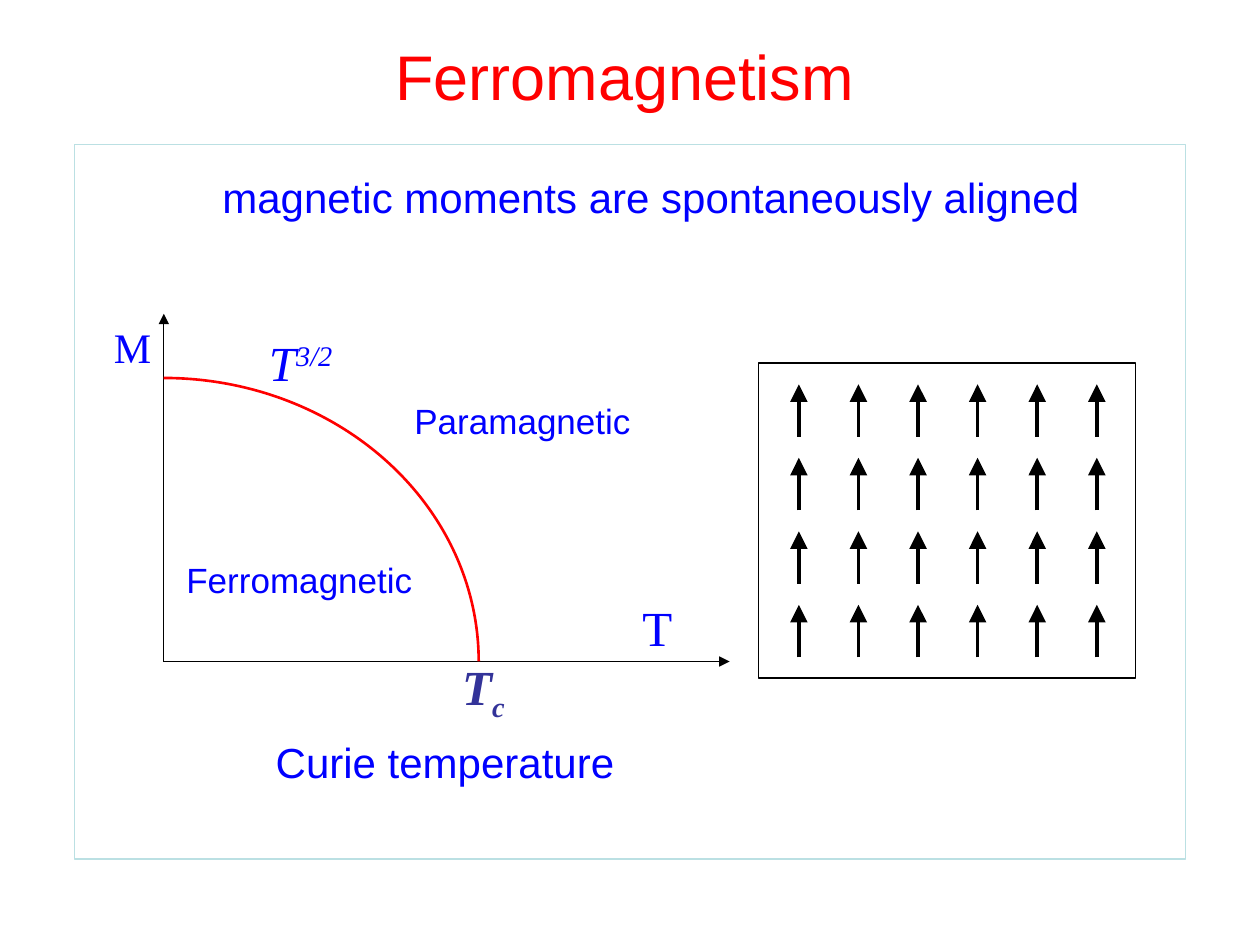
from dataclasses import dataclass

from lxml import etree
from pptx import Presentation
from pptx.dml.color import RGBColor
from pptx.enum.shapes import MSO_CONNECTOR, MSO_SHAPE
from pptx.enum.text import MSO_ANCHOR, MSO_AUTO_SIZE, PP_ALIGN
from pptx.oxml.ns import qn
from pptx.util import Pt

STRAIGHT = MSO_CONNECTOR.STRAIGHT
RECTANGLE = MSO_SHAPE.RECTANGLE
ARC = MSO_SHAPE.ARC
TOP = MSO_ANCHOR.TOP
GROW = MSO_AUTO_SIZE.SHAPE_TO_FIT_TEXT
LEFT = PP_ALIGN.LEFT
CENTER = PP_ALIGN.CENTER
TITLE_ONLY = 5


@dataclass(frozen=True)
class Theme:
    red: str = "FF0000"
    blue: str = "0000FF"
    indigo: str = "333399"
    black: str = "000000"
    frame: str = "BBE0E3"
    sans: str = "Arial"
    serif: str = "Times New Roman"
    title: int = 36
    symbol: int = 28
    text: int = 24
    label: int = 20
    thin: float = 0.75
    curve: float = 1.5
    moment: float = 2


THEME = Theme()


def write_text(box, text, *, size, color=THEME.blue, font=THEME.sans, align=LEFT,
               bold=False, italic=False, script="", baseline=0):
    frame = box.text_frame
    frame.word_wrap = True
    frame.auto_size = GROW
    frame.vertical_anchor = TOP
    frame.margin_left = frame.margin_right = Pt(7.2)
    frame.margin_top = frame.margin_bottom = Pt(3.6)
    para = frame.paragraphs[0]
    para.alignment = align
    for content, shift in ((text, 0), (script, baseline)):
        if not content:
            continue
        span = para.add_run()
        span.text = content
        span.font.size = Pt(size)
        span.font.name = font
        span.font.bold = bold
        span.font.italic = italic
        span.font.color.rgb = RGBColor.from_string(color)
        if shift:
            span.font._element.set("baseline", str(shift * 1000))


def add_title(page, text):
    box = page.shapes.title
    box.left, box.top, box.width, box.height = Pt(48), Pt(18), Pt(618), Pt(50.4)
    write_text(box, text, size=THEME.title, color=THEME.red, align=CENTER)


def add_label(page, text, left, top, width, height, **style):
    box = page.shapes.add_textbox(Pt(left), Pt(top), Pt(width), Pt(height))
    write_text(box, text, **style)


def add_outline(shapes, kind, left, top, width, height, color, weight):
    shape = shapes.add_shape(kind, Pt(left), Pt(top), Pt(width), Pt(height))
    shape.shadow.inherit = False
    shape.fill.background()
    shape.line.color.rgb = RGBColor.from_string(color)
    shape.line.width = Pt(weight)


def add_arrow(shapes, start, end, weight, head="med"):
    arrow = shapes.add_connector(STRAIGHT, *(Pt(value) for value in start + end))
    arrow.line.color.rgb = RGBColor.from_string(THEME.black)
    arrow.line.width = Pt(weight)
    etree.SubElement(arrow.line._get_or_add_ln(), qn("a:tailEnd"),
                     type="triangle", w=head, len=head)
    etree.SubElement(arrow._element.spPr, qn("a:effectLst"))


def add_aligned_moments(page):
    columns, rows = 6, 4
    first_x, first_y = 456.5, 249.6
    step_x, step_y, length = 34.05, 42, -30
    group = page.shapes.add_group_shape()
    add_outline(group.shapes, RECTANGLE, 433.5, 207.5, 215.5, 180, THEME.black, THEME.thin)
    for row in range(rows):
        for column in range(columns):
            x = first_x + column * step_x
            y = first_y + row * step_y
            add_arrow(group.shapes, (x, y), (x, y + length), THEME.moment, head="lg")


def add_magnetization_plot(page):
    origin_x, origin_y = 93.6, 378
    curie_x, saturation_y = 180, 162
    origin = (origin_x, origin_y)
    add_arrow(page.shapes, origin, (origin_x, 179.3), THEME.thin)
    add_arrow(page.shapes, origin, (416.9, origin_y), THEME.thin)
    add_outline(page.shapes, ARC, origin_x - curie_x, origin_y - saturation_y,
                2 * curie_x, 2 * saturation_y, THEME.red, THEME.curve)

    add_label(page, "M", 58, 180, 37.5, 36, size=THEME.text, font=THEME.serif)
    add_label(page, "T", 360, 337.7, 54, 41, size=THEME.symbol, font=THEME.serif)
    add_label(page, "T", 146.6, 186.5, 58, 41, size=THEME.symbol, font=THEME.serif,
              italic=True, script="3/2", baseline=30)
    add_label(page, "T", 257, 371.5, 54, 45.4, size=THEME.symbol, font=THEME.serif,
              color=THEME.indigo, bold=True, italic=True, script="c", baseline=-25)
    add_label(page, "Ferromagnetic", 99.4, 315.4, 156, 31.7, size=THEME.label)
    add_label(page, "Paramagnetic", 229.7, 224.6, 156, 31.7, size=THEME.label)
    add_label(page, "Curie temperature", 150.5, 417.6, 216, 36, size=THEME.text)


def main():
    deck = Presentation()
    deck.slide_width, deck.slide_height = Pt(720), Pt(540)
    page = deck.slides.add_slide(deck.slide_layouts[TITLE_ONLY])
    add_title(page, "Ferromagnetism")
    add_outline(page.shapes, RECTANGLE, 42.5, 82.8, 635, 408.2, THEME.frame, THEME.thin)
    add_label(page, "magnetic moments are spontaneously aligned",
              59.8, 94.3, 624.2, 36, size=THEME.text, align=CENTER)
    add_aligned_moments(page)
    add_magnetization_plot(page)
    deck.save("out.pptx")


if __name__ == "__main__":
    main()
